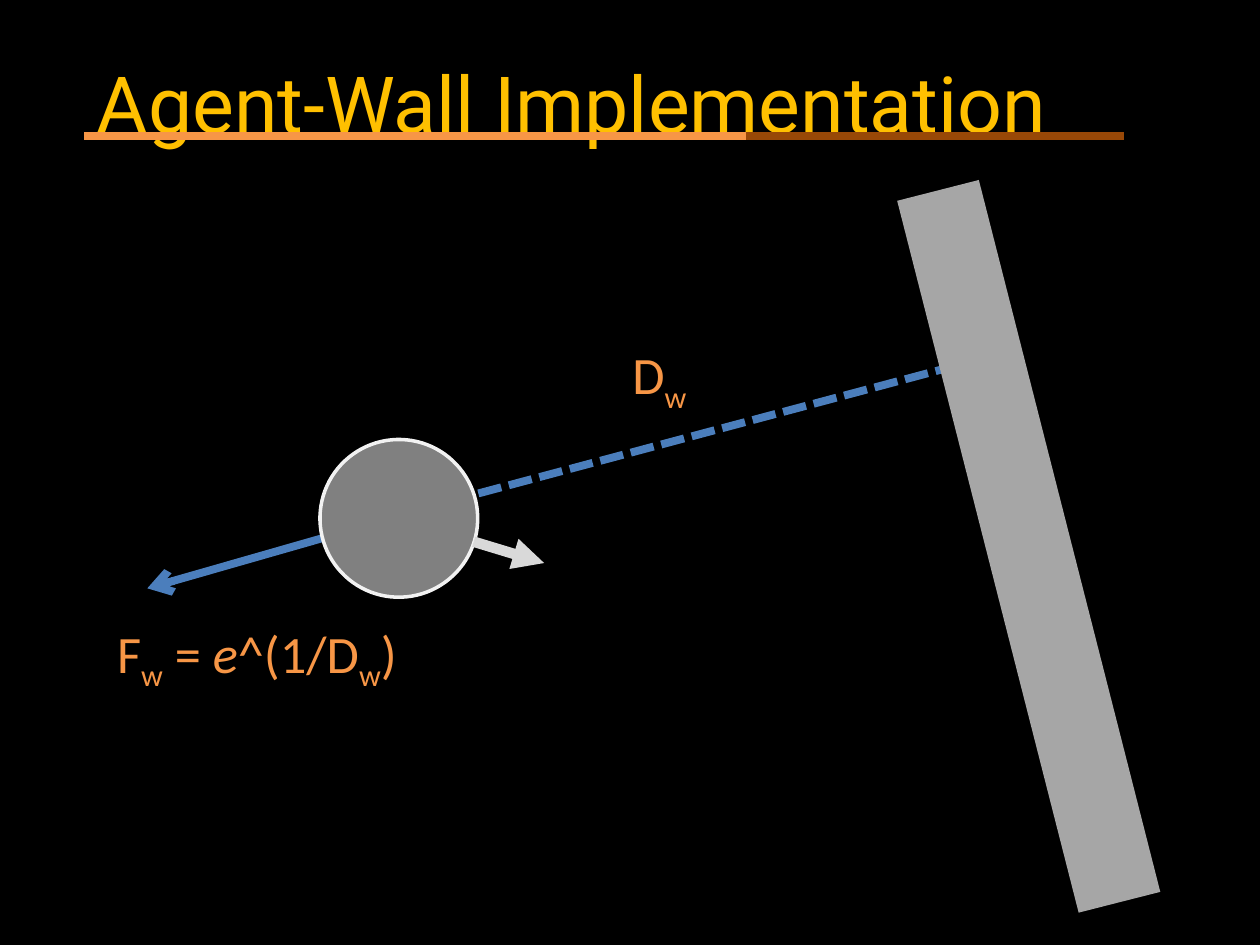
from dataclasses import dataclass

from lxml.etree import SubElement
from pptx import Presentation
from pptx.dml.color import RGBColor
from pptx.enum.dml import MSO_LINE
from pptx.enum.shapes import MSO_CONNECTOR, MSO_SHAPE
from pptx.enum.text import MSO_ANCHOR, MSO_AUTO_SIZE, PP_ALIGN
from pptx.oxml.ns import qn
from pptx.util import Cm, Pt


@dataclass(frozen=True)
class Theme:
    """Colours, fonts and sizes of the slide."""
    back: str = "000000"
    title: str = "FFC000"
    accent: str = "F79646"
    accent_dark: str = "984807"
    force: str = "4B7EBC"
    heading: str = "D9D9D9"
    agent: str = "808080"
    agent_edge: str = "F2F2F2"
    wall: str = "A6A6A6"
    title_font: str = "Roboto"
    body_font: str = "Calibri"
    title_size: float = 45
    body_size: float = 30
    rule: float = 4.5
    heading_rule: float = 6
    edge: float = 2


T = Theme()


def rgb(color):
    """Turn a hex string into a colour."""
    return RGBColor.from_string(color)


def format_run(r, font, size, color):
    """Set font, size and colour of a run."""
    r.font.name = font
    r.font.size = Pt(size)
    r.font.color.rgb = rgb(color)


def add_line(s, start, end, color, width=T.rule, dash=None, head=None):
    """Draw a straight line, with an optional dash and arrowhead."""
    points = [Cm(v) for v in (*start, *end)]
    line = s.shapes.add_connector(MSO_CONNECTOR.STRAIGHT, *points)
    line.line.color.rgb = rgb(color)
    line.line.width = Pt(width)
    if dash:
        line.line.dash_style = dash
    if head:
        SubElement(line.line._get_or_add_ln(), qn("a:tailEnd"), type=head)
    SubElement(line._element.spPr, qn("a:effectLst"))


def add_solid(s, kind, box, fill, rotation=0, edge=None):
    """Draw a filled preset shape."""
    sp = s.shapes.add_shape(kind, *[Cm(v) for v in box])
    sp.shadow.inherit = False
    sp.rotation = rotation
    sp.fill.solid()
    sp.fill.fore_color.rgb = rgb(fill)
    if edge:
        sp.line.color.rgb = rgb(edge)
        sp.line.width = Pt(T.edge)
    else:
        sp.line.fill.background()


def add_formula(s, box, parts):
    """Write a formula from (text, style) pairs."""
    tf = s.shapes.add_textbox(*[Cm(v) for v in box]).text_frame
    tf.word_wrap = True
    tf.auto_size = MSO_AUTO_SIZE.SHAPE_TO_FIT_TEXT
    p = tf.paragraphs[0]
    for text, style in parts:
        r = p.add_run()
        r.text = text
        format_run(r, T.body_font, T.body_size, T.accent)
        if style == "sub":
            r.font._element.set("baseline", "-25000")
        elif style == "italic":
            r.font.italic = True


def add_title(s, box, text):
    """Place the title and its two-tone rule."""
    x, y, w, h = box
    rule_y = y + 2.28
    add_line(s, (x + 8.26, rule_y), (x + 20.96, rule_y), T.accent_dark)
    add_line(s, (x, rule_y), (x + 13.34, rule_y), T.accent)
    title = s.shapes.title
    title.left, title.top, title.width, title.height = [Cm(v) for v in box]
    tf = title.text_frame
    tf.text = text
    tf.word_wrap = True
    tf.vertical_anchor = MSO_ANCHOR.MIDDLE
    p = tf.paragraphs[0]
    p.alignment = PP_ALIGN.LEFT
    format_run(p.runs[0], T.title_font, T.title_size, T.title)


def add_agent(s, box):
    """Draw the agent with its wall force and heading arrows."""
    x, y, w, h = box
    add_line(s, (x + 2.21, y + 1.37), (x - 3.48, y + 3), T.force, head="arrow")
    add_solid(s, MSO_SHAPE.OVAL, box, T.agent, 107, T.agent_edge)
    add_line(s, (x + 3.1, y + 2.06), (x + 4.52, y + 2.49), T.heading,
             T.heading_rule, head="triangle")


def add_scene(s, box):
    """Draw the wall, the distance to it, the agent and the formulas."""
    x, y, w, h = box
    add_line(s, (x + 5.69, y + 6.83), (x + 17.58, y + 3.65), T.force,
             dash=MSO_LINE.SQUARE_DOT)
    add_solid(s, MSO_SHAPE.RECTANGLE, (x + w - 1.7, y, 1.7, h), T.wall, 345.7)
    add_formula(s, (x + 10.39, y + 3.17, 5.08, 1.55), [("D", ""), ("w", "sub")])
    add_agent(s, (x + 4.34, y + 5.25, 3.18, 3.18))
    add_formula(s, (x, y + 8.79, 6.99, 1.55), [
        ("F", ""), ("w", "sub"), (" = ", ""), ("e", "italic"),
        ("^(1/D", ""), ("w", "sub"), (")", "")])


def main():
    """Build and save the slide."""
    prs = Presentation()
    prs.slide_width, prs.slide_height = Cm(25.4), Cm(19.05)
    s = prs.slides.add_slide(prs.slide_layouts[5])
    s.background.fill.solid()
    s.background.fill.fore_color.rgb = rgb(T.back)
    add_title(s, (1.7, 0.46, 22.66, 3.18), "Agent-Wall Implementation")
    add_scene(s, (2.11, 3.61, 19.48, 14.81))
    prs.save("out.pptx")


main()
